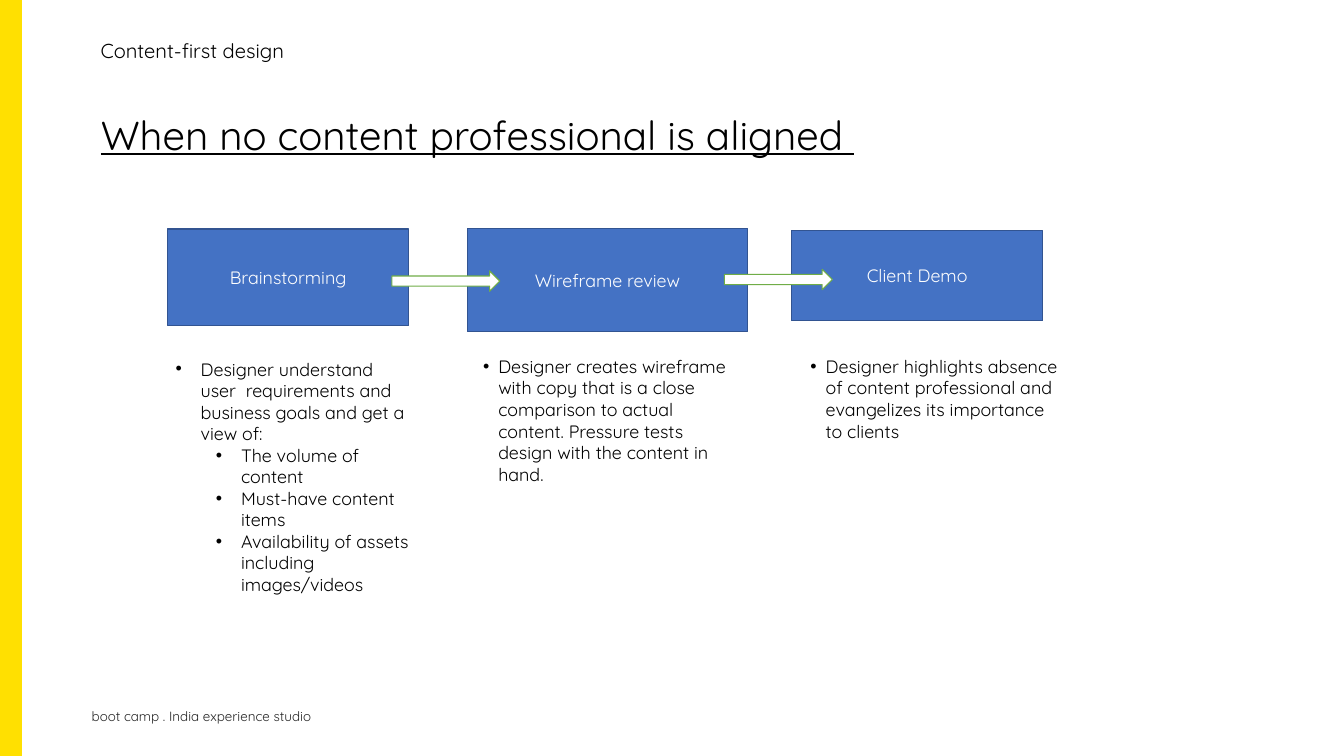
from pptx import Presentation
from pptx.dml.color import RGBColor
from pptx.enum.shapes import MSO_SHAPE
from pptx.enum.text import MSO_ANCHOR, MSO_AUTO_SIZE, PP_ALIGN
from pptx.oxml.ns import qn
from pptx.util import Cm, Pt
from lxml import etree

RECTANGLE, RIGHT_ARROW = MSO_SHAPE.RECTANGLE, MSO_SHAPE.RIGHT_ARROW
TOP, MIDDLE = MSO_ANCHOR.TOP, MSO_ANCHOR.MIDDLE
LEFT, CENTER = PP_ALIGN.LEFT, PP_ALIGN.CENTER
NO_AUTOFIT = MSO_AUTO_SIZE.NONE

FONT = "Quicksand"
YELLOW = RGBColor(0xFF, 0xE0, 0x01)
BLUE = RGBColor(0x44, 0x72, 0xC4)
NAVY = RGBColor(0x32, 0x54, 0x91)
GREEN = RGBColor(0x70, 0xAD, 0x47)
WHITE = RGBColor(0xFF, 0xFF, 0xFF)
BLACK = RGBColor(0, 0, 0)
GREY = RGBColor(0x26, 0x26, 0x26)

SLIDE_WIDTH, SLIDE_HEIGHT = 42.32, 23.8
TITLE = "When no content professional is aligned "
TITLE_AREA = (2.92, 3.51, 27, 2.21)
TOPIC = "Content-first design"
TOPIC_AREA = (2.92, 1.22, 15.95, 0.81)
FOOTER = "boot camp . India experience studio"
FOOTER_AREA = (2.64, 22.17, 21.18, 0.76)

STEPS = [
    {"name": "Brainstorming", "box": (5.28, 7.21, 7.59, 3.05),
     "notes_area": (5.28, 11.15, 7.92, 11.2), "hanging": 0.79,
     "notes": [(0, "Designer understand user  requirements and business goals and get a view of:"),
               (1, "The volume of content"),
               (1, "Must-have content items"),
               (1, "Availability of assets including images/videos")]},
    {"name": "Wireframe review", "box": (14.71, 7.19, 8.84, 3.25),
     "notes_area": (14.96, 11.07, 8.38, 7.09), "hanging": 0.48,
     "notes": [(0, "Designer creates wireframe with copy that is a close comparison to actual "
                   "content. Pressure tests design with the content in hand.")]},
    {"name": "Client Demo", "box": (24.92, 7.26, 7.92, 2.84),
     "notes_area": (25.27, 11.07, 8.38, 3.68), "hanging": 0.48,
     "notes": [(0, "Designer highlights absence of content professional and evangelizes "
                   "its importance to clients")]},
]
LEVEL_INDENT = 1.27
ARROWS = [(12.34, 8.53, 3.4, 0.64), (22.81, 8.48, 3.4, 0.64)]


def lengths(area):
    """Turn centimetre numbers into lengths."""
    return [Cm(value) for value in area]


def style(paragraph, size, color, align=LEFT):
    """Format the runs of a paragraph."""
    paragraph.alignment = align
    for run in paragraph.runs:
        run.font.name = FONT
        run.font.size = Pt(size)
        run.font.color.rgb = color


def add_block(slide, kind, area, fill, line=None):
    """Add a filled preset shape without a shadow."""
    block = slide.shapes.add_shape(kind, *lengths(area))
    block.shadow.inherit = False
    block.fill.solid()
    block.fill.fore_color.rgb = fill
    if line is None:
        block.line.fill.background()
    else:
        block.line.color.rgb = line
        block.line.width = Pt(1)
    return block


def add_text(slide, area, text, size, color, anchor=TOP):
    """Add a wrapping one-paragraph text box."""
    frame = slide.shapes.add_textbox(*lengths(area)).text_frame
    frame.word_wrap = True
    frame.vertical_anchor = anchor
    frame.text = text
    style(frame.paragraphs[0], size, color)
    return frame


def add_bullet(paragraph, level, hanging):
    """Give a paragraph a round bullet with a hanging indent."""
    paragraph.level = level
    properties = paragraph._p.get_or_add_pPr()
    properties.set("marL", str(Cm(hanging + level * LEVEL_INDENT)))
    properties.set("indent", str(-Cm(hanging)))
    etree.SubElement(properties, qn("a:buFont"), typeface="Arial")
    etree.SubElement(properties, qn("a:buChar"), char="•")


def add_notes(slide, step):
    """Add the bulleted notes under a step."""
    frame = slide.shapes.add_textbox(*lengths(step["notes_area"])).text_frame
    frame.word_wrap = True
    frame.text = "\n".join(text for _, text in step["notes"])
    for paragraph, (level, _) in zip(frame.paragraphs, step["notes"]):
        add_bullet(paragraph, level, step["hanging"])
        style(paragraph, 16, BLACK)


def add_title(slide):
    """Fill and format the title placeholder."""
    title = slide.shapes.title
    title.left, title.top, title.width, title.height = lengths(TITLE_AREA)
    frame = title.text_frame
    frame.text = TITLE
    frame.word_wrap = True
    frame.auto_size = NO_AUTOFIT
    frame.vertical_anchor = TOP
    heading = frame.paragraphs[0]
    heading.line_spacing = 0.9
    style(heading, 36, BLACK)
    heading.runs[0].font.underline = True


def main():
    """Build the slide on the content review steps."""
    deck = Presentation()
    deck.slide_width, deck.slide_height = Cm(SLIDE_WIDTH), Cm(SLIDE_HEIGHT)
    slide = deck.slides.add_slide(deck.slide_layouts[5])

    add_block(slide, RECTANGLE, (0, 0, 0.69, SLIDE_HEIGHT), YELLOW)
    add_title(slide)
    topic = add_text(slide, TOPIC_AREA, TOPIC, 18, BLACK, MIDDLE)
    topic.paragraphs[0].line_spacing = 0.9
    add_text(slide, FOOTER_AREA, FOOTER, 12, GREY)

    for step in STEPS:
        box = add_block(slide, RECTANGLE, step["box"], BLUE, NAVY)
        box.text_frame.text = step["name"]
        box.text_frame.vertical_anchor = MIDDLE
        style(box.text_frame.paragraphs[0], 16, WHITE, CENTER)
        add_notes(slide, step)
    for area in ARROWS:
        add_block(slide, RIGHT_ARROW, area, WHITE, GREEN)

    deck.save("out.pptx")


if __name__ == "__main__":
    main()
